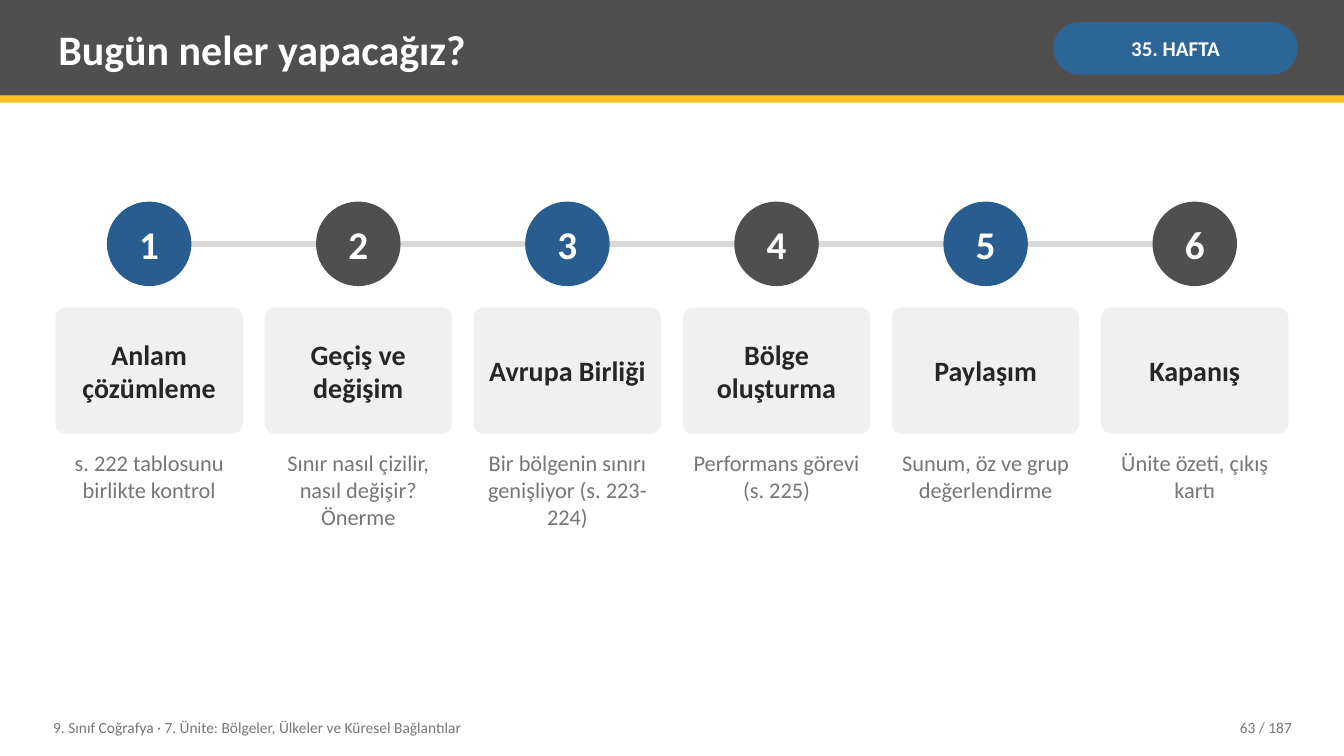
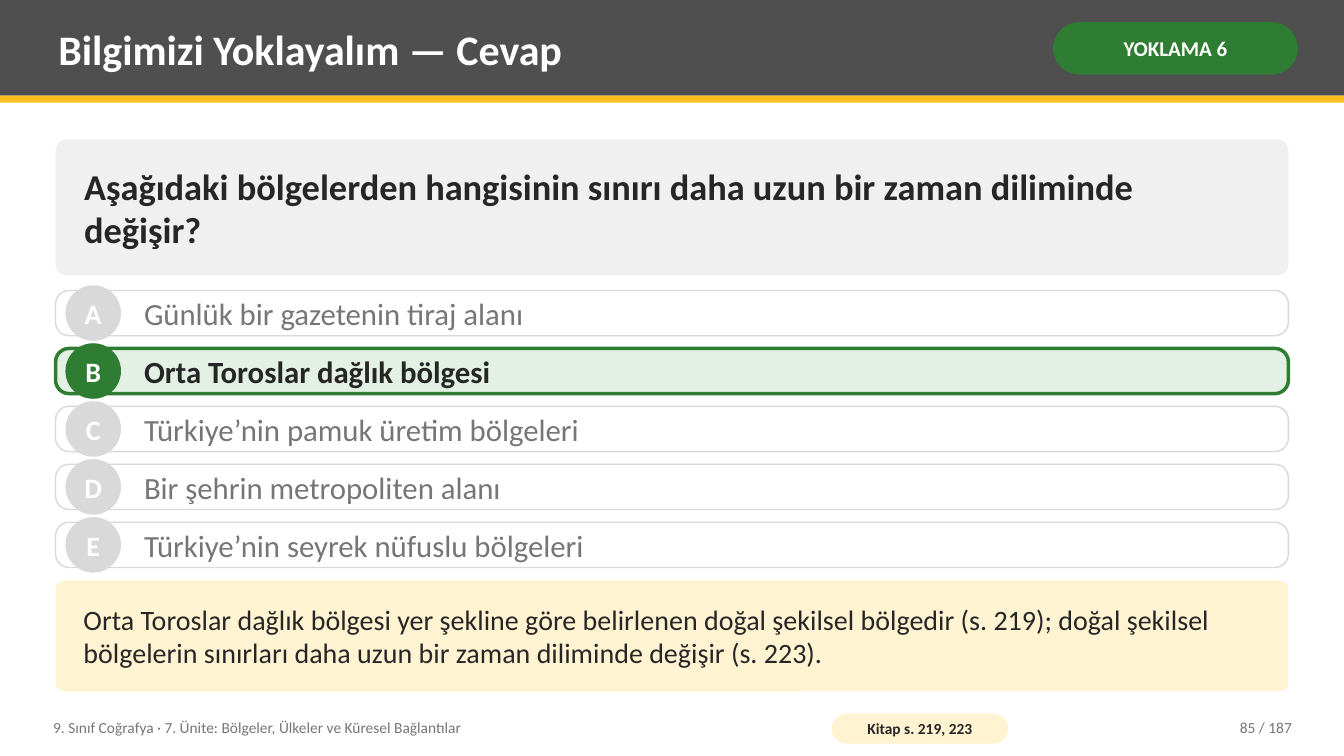
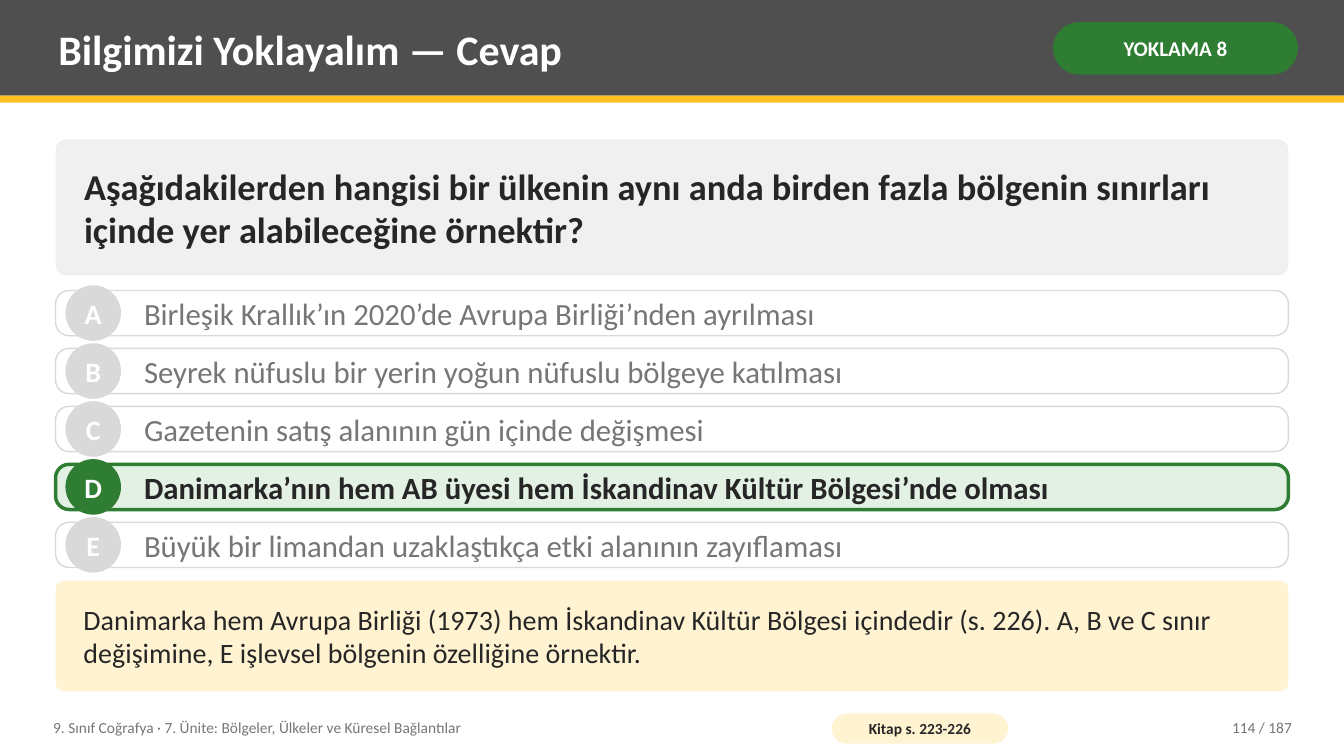
"""Build three geography lesson slides: a lesson plan and two answered quiz questions."""
from dataclasses import dataclass
from typing import Optional

import pptx
import pptx.dml.color
import pptx.enum.shapes
import pptx.enum.text
import pptx.oxml
import pptx.oxml.ns
import pptx.presentation
import pptx.shapes.autoshape
import pptx.slide
import pptx.text.text
import pptx.util

Cm = pptx.util.Cm
Align = pptx.enum.text.PP_ALIGN
Anchor = pptx.enum.text.MSO_ANCHOR
Preset = pptx.enum.shapes.MSO_SHAPE

COLORS = {
    "band": "4F4F4F",
    "stripe": "FCC021",
    "week": "2C6696",
    "step": "2A5D8F",
    "correct": "2E7D32",
    "correct_fill": "E3F1E4",
    "panel": "F0F0F0",
    "note": "FFF3D1",
    "rule": "D9D9D9",
    "ink": "262626",
    "muted": "767676",
    "white": "FFFFFF",
}
FONT = "Calibri"
UNIT = "9. Sınıf Coğrafya · 7. Ünite: Bölgeler, Ülkeler ve Küresel Bağlantılar"
PAGE_COUNT = 187
SLIDE_WIDTH, SLIDE_HEIGHT = 33.87, 19.05
LEFT, WIDTH = 1.4, 31.07


@dataclass(frozen=True)
class Box:
    left: float
    top: float
    width: float
    height: float

    def lengths(self) -> tuple[pptx.util.Length, ...]:
        return Cm(self.left), Cm(self.top), Cm(self.width), Cm(self.height)


@dataclass(frozen=True)
class Style:
    size: int
    color: str
    bold: bool = False
    align: Align = Align.LEFT
    anchor: Anchor = Anchor.MIDDLE
    inset_x: float = 0.2
    inset_y: float = 0.1
    wrap: bool = True


@dataclass(frozen=True)
class Step:
    heading: str
    detail: str


@dataclass(frozen=True)
class Quiz:
    number: int
    question: str
    options: tuple[str, ...]
    answer: str
    explanation: str
    book_pages: str
    page: int


TITLE = Style(30, "white", bold=True)
TAG = Style(15, "white", bold=True, align=Align.CENTER, inset_x=0.13, inset_y=0.05)
STEP_NUMBER = Style(28, "white", bold=True, align=Align.CENTER, inset_x=0, inset_y=0, wrap=False)
STEP_HEADING = Style(20, "ink", bold=True, align=Align.CENTER, inset_y=0.2)
STEP_DETAIL = Style(16, "muted", align=Align.CENTER, anchor=Anchor.TOP)
QUESTION = Style(26, "ink", bold=True, inset_x=0.64, inset_y=0.2)
LETTER = Style(20, "white", bold=True, align=Align.CENTER, inset_x=0, inset_y=0, wrap=False)
OPTION = Style(22, "muted")
CORRECT_OPTION = Style(22, "ink", bold=True)
EXPLANATION = Style(20, "ink", inset_x=0.64, inset_y=0.2)
FOOTER = Style(11, "muted")
PAGE_NUMBER = Style(11, "muted", align=Align.RIGHT)
BOOK_PAGES = Style(11, "ink", bold=True, align=Align.CENTER, inset_x=0.1, inset_y=0)

STEPS = (
    Step("Anlam çözümleme", "s. 222 tablosunu birlikte kontrol"),
    Step("Geçiş ve değişim", "Sınır nasıl çizilir, nasıl değişir? Önerme"),
    Step("Avrupa Birliği", "Bir bölgenin sınırı genişliyor (s. 223-224)"),
    Step("Bölge oluşturma", "Performans görevi (s. 225)"),
    Step("Paylaşım", "Sunum, öz ve grup değerlendirme"),
    Step("Kapanış", "Ünite özeti, çıkış kartı"),
)
QUIZZES = (
    Quiz(
        6,
        "Aşağıdaki bölgelerden hangisinin sınırı daha uzun bir zaman diliminde değişir?",
        (
            "Günlük bir gazetenin tiraj alanı",
            "Orta Toroslar dağlık bölgesi",
            "Türkiye’nin pamuk üretim bölgeleri",
            "Bir şehrin metropoliten alanı",
            "Türkiye’nin seyrek nüfuslu bölgeleri",
        ),
        "B",
        "Orta Toroslar dağlık bölgesi yer şekline göre belirlenen doğal şekilsel bölgedir (s. 219); "
        "doğal şekilsel bölgelerin sınırları daha uzun bir zaman diliminde değişir (s. 223).",
        "219, 223",
        85,
    ),
    Quiz(
        8,
        "Aşağıdakilerden hangisi bir ülkenin aynı anda birden fazla bölgenin sınırları "
        "içinde yer alabileceğine örnektir?",
        (
            "Birleşik Krallık’ın 2020’de Avrupa Birliği’nden ayrılması",
            "Seyrek nüfuslu bir yerin yoğun nüfuslu bölgeye katılması",
            "Gazetenin satış alanının gün içinde değişmesi",
            "Danimarka’nın hem AB üyesi hem İskandinav Kültür Bölgesi’nde olması",
            "Büyük bir limandan uzaklaştıkça etki alanının zayıflaması",
        ),
        "D",
        "Danimarka hem Avrupa Birliği (1973) hem İskandinav Kültür Bölgesi içindedir (s. 226). "
        "A, B ve C sınır değişimine, E işlevsel bölgenin özelliğine örnektir.",
        "223-226",
        114,
    ),
)


def rgb(name: str) -> pptx.dml.color.RGBColor:
    return pptx.dml.color.RGBColor.from_string(COLORS[name])


def write(frame: pptx.text.text.TextFrame, text: str, style: Style) -> None:
    frame.auto_size = pptx.enum.text.MSO_AUTO_SIZE.NONE
    frame.word_wrap = style.wrap
    frame.vertical_anchor = style.anchor
    frame.margin_left = frame.margin_right = Cm(style.inset_x)
    frame.margin_top = frame.margin_bottom = Cm(style.inset_y)
    frame.text = text
    paragraph = frame.paragraphs[0]
    paragraph.alignment = style.align
    paragraph.font.name = FONT
    paragraph.font.size = pptx.util.Pt(style.size)
    paragraph.font.bold = style.bold
    paragraph.font.color.rgb = rgb(style.color)


def add_text(slide: pptx.slide.Slide, box: Box, text: str, style: Style) -> None:
    write(slide.shapes.add_textbox(*box.lengths()).text_frame, text, style)


def add_block(
    slide: pptx.slide.Slide,
    preset: Preset,
    box: Box,
    fill: str,
    text: str = "",
    style: Optional[Style] = None,
    rounding: Optional[float] = None,
) -> pptx.shapes.autoshape.Shape:
    block = slide.shapes.add_shape(preset, *box.lengths())
    block.shadow.inherit = False
    block.fill.solid()
    block.fill.fore_color.rgb = rgb(fill)
    block.line.fill.background()
    if rounding is not None:
        block.adjustments[0] = rounding
    if style:
        write(block.text_frame, text, style)
    return block


def add_panel(slide: pptx.slide.Slide, box: Box, fill: str, text: str, style: Style) -> None:
    add_block(slide, Preset.ROUNDED_RECTANGLE, box, fill, text, style, rounding=0.08)


def add_pill(slide: pptx.slide.Slide, box: Box, fill: str, text: str, style: Style) -> None:
    add_block(slide, Preset.ROUNDED_RECTANGLE, box, fill, text, style, rounding=0.5)


def add_lesson_slide(
    deck: pptx.presentation.Presentation, title: str, tag: str, tag_fill: str, page: int
) -> pptx.slide.Slide:
    slide = deck.slides.add_slide(deck.slide_layouts[5])
    add_block(slide, Preset.RECTANGLE, Box(0, 0, SLIDE_WIDTH, 2.41), "band")
    add_block(slide, Preset.RECTANGLE, Box(0, 2.41, SLIDE_WIDTH, 0.18), "stripe")
    heading = slide.shapes.title
    heading.left, heading.top, heading.width, heading.height = Box(1.27, 0.18, 24.76, 2.08).lengths()
    write(heading.text_frame, title, TITLE)
    slide.shapes.element.append(heading.element)
    add_pill(slide, Box(26.54, 0.56, 6.17, 1.32), tag_fill, tag, TAG)
    add_text(slide, Box(1.14, 17.88, 19.3, 0.91), UNIT, FOOTER)
    add_text(slide, Box(28.7, 17.88, 4.06, 0.91), f"{page} / {PAGE_COUNT}", PAGE_NUMBER)
    return slide


def add_track(slide: pptx.slide.Slide, start: float, end: float, level: float) -> None:
    track = slide.shapes.add_connector(
        pptx.enum.shapes.MSO_CONNECTOR.STRAIGHT, Cm(start), Cm(level), Cm(end), Cm(level)
    )
    track.line.color.rgb = rgb("rule")
    track.line.width = pptx.util.Pt(4)
    properties = track.element.find(pptx.oxml.ns.qn("p:spPr"))
    properties.append(pptx.oxml.parse_xml(f"<a:effectLst {pptx.oxml.ns.nsdecls('a')}/>"))


def add_plan_slide(deck: pptx.presentation.Presentation) -> None:
    slide = add_lesson_slide(deck, "Bugün neler yapacağız?", "35. HAFTA", "week", 63)
    card_width, circle, circle_top = 4.72, 2.13, 5.08
    pitch = (WIDTH - card_width) / (len(STEPS) - 1)
    first_center = LEFT + card_width / 2
    last_center = first_center + pitch * (len(STEPS) - 1)
    add_track(slide, first_center, last_center, circle_top + circle / 2)
    for index, step in enumerate(STEPS):
        left = LEFT + index * pitch
        marker = Box(left + (card_width - circle) / 2, circle_top, circle, circle)
        fill = "band" if index % 2 else "step"
        add_block(slide, Preset.OVAL, marker, fill, str(index + 1), STEP_NUMBER)
        add_panel(slide, Box(left, 7.75, card_width, 3.18), "panel", step.heading, STEP_HEADING)
        add_text(slide, Box(left, 11.23, card_width, 4.83), step.detail, STEP_DETAIL)


def add_option(slide: pptx.slide.Slide, top: float, letter: str, text: str, correct: bool) -> None:
    height, badge = 1.14, 1.4
    accent = "correct" if correct else "rule"
    row = add_block(
        slide,
        Preset.ROUNDED_RECTANGLE,
        Box(LEFT, top, WIDTH, height),
        "correct_fill" if correct else "white",
        rounding=0.3,
    )
    row.line.color.rgb = rgb(accent)
    row.line.width = pptx.util.Pt(2.5 if correct else 1)
    badge_box = Box(LEFT + 0.25, top + (height - badge) / 2, badge, badge)
    add_block(slide, Preset.OVAL, badge_box, accent, letter, LETTER)
    add_text(slide, Box(3.43, top, 28.52, height), text, CORRECT_OPTION if correct else OPTION)


def add_quiz_slide(deck: pptx.presentation.Presentation, quiz: Quiz) -> None:
    slide = add_lesson_slide(
        deck, "Bilgimizi Yoklayalım — Cevap", f"YOKLAMA {quiz.number}", "correct", quiz.page
    )
    add_panel(slide, Box(LEFT, 3.51, WIDTH, 3.43), "panel", quiz.question, QUESTION)
    for index, (letter, option) in enumerate(zip("ABCDE", quiz.options)):
        add_option(slide, 7.32 + index * 1.46, letter, option, letter == quiz.answer)
    add_panel(slide, Box(LEFT, 14.63, WIDTH, 2.79), "note", quiz.explanation, EXPLANATION)
    add_pill(slide, Box(20.96, 17.98, 4.45, 0.76), "note", f"Kitap s. {quiz.book_pages}", BOOK_PAGES)


def main() -> None:
    deck = pptx.Presentation()
    deck.slide_width, deck.slide_height = Cm(SLIDE_WIDTH), Cm(SLIDE_HEIGHT)
    add_plan_slide(deck)
    for quiz in QUIZZES:
        add_quiz_slide(deck, quiz)
    deck.save("out.pptx")


if __name__ == "__main__":
    main()
